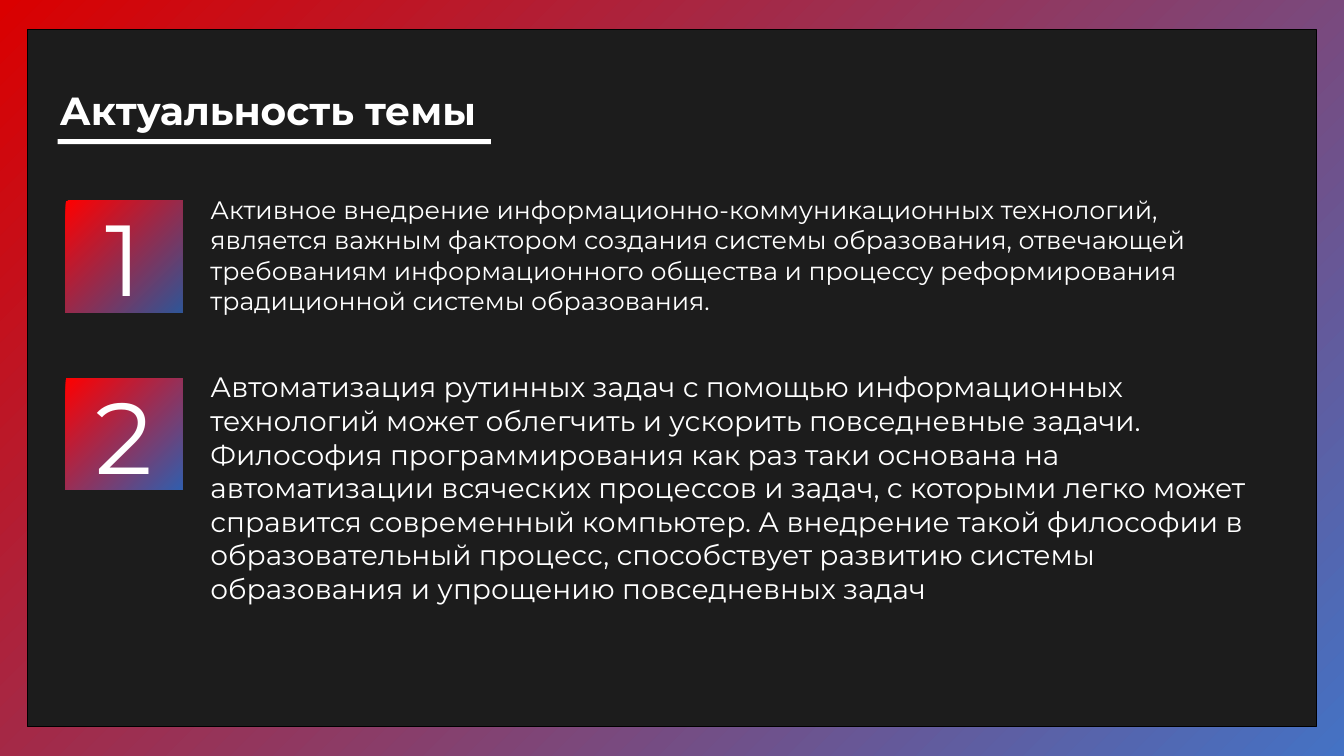
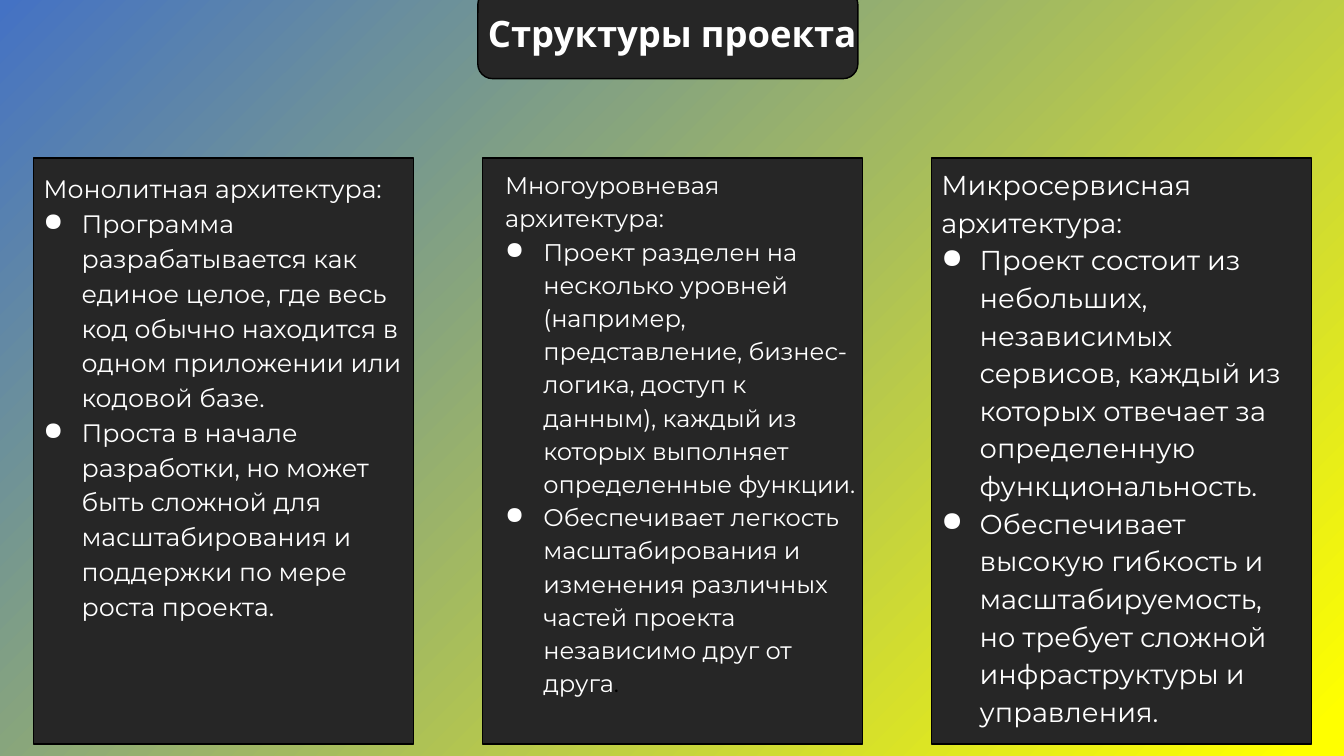
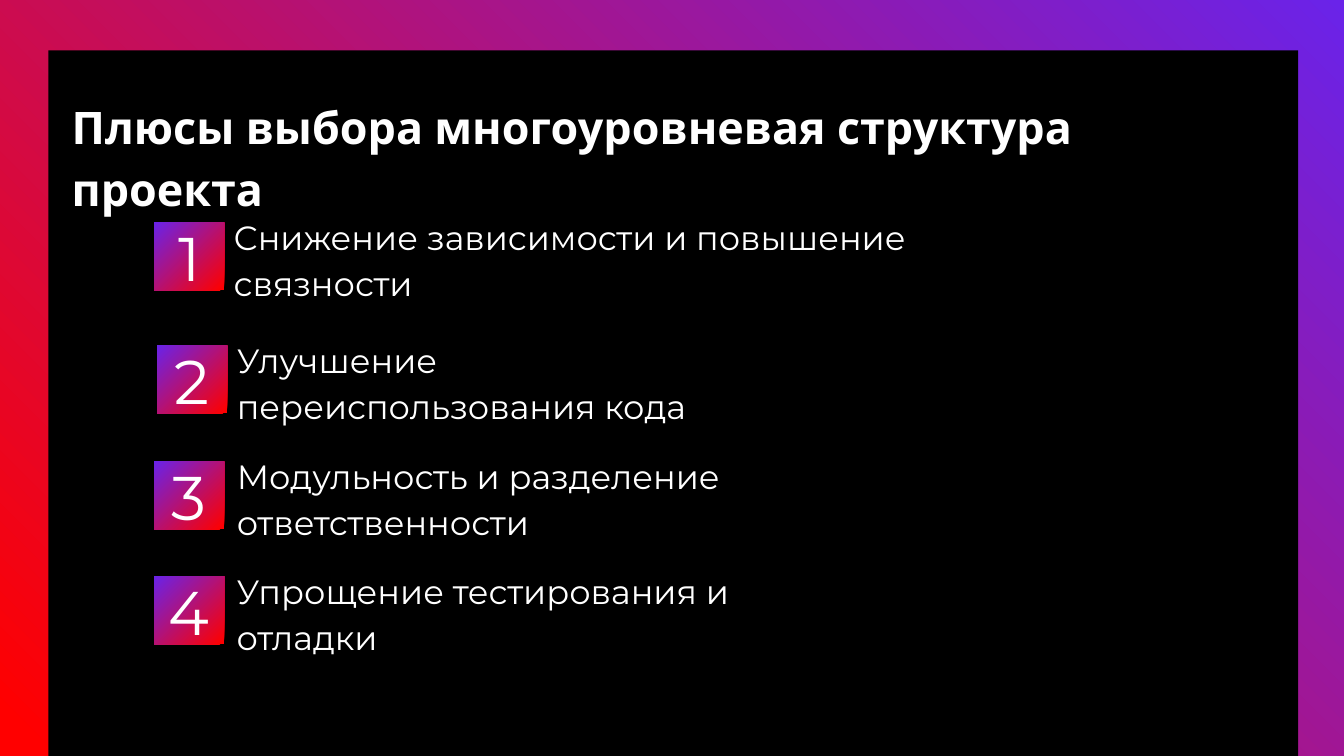
from dataclasses import dataclass
from lxml.etree import SubElement
from pptx import Presentation
from pptx.dml.color import RGBColor
from pptx.enum.shapes import MSO_SHAPE
from pptx.enum.text import MSO_ANCHOR, MSO_AUTO_SIZE, PP_ALIGN
from pptx.oxml.ns import qn
from pptx.util import Inches, Pt


@dataclass(frozen=True)
class Theme:
    white: str = "FFFFFF"
    black: str = "000000"
    coal: str = "1C1C1C"
    card: str = "262626"
    # Gradients: first colour, its position, last colour, clockwise angle
    red_blue: tuple = ("DA0000", 0, "4472C4", 45)
    yellow_blue: tuple = ("FFFF00", 0.02, "4472C4", 225)
    red_violet: tuple = ("FF0000", 0.02, "6A23E9", 315)
    badge_blues: tuple = ("2F5597", "315EAD")
    badge_violet: tuple = ("FF0000", 0.02, "6A23E9", 225)
    body: str = "Montserrat"
    head: str = "Karla"
    title_sizes: tuple = (28, 26, 32)
    reason_sizes: tuple = (18, 20)
    card_sizes: tuple = (18, 17.2, 19.5)
    list_size: int = 24
    badge_sizes: tuple = (72, 44)
    loose: float = 1.15


T = Theme()
prs = Presentation()
prs.slide_width, prs.slide_height = Inches(13.33), Inches(7.5)
# The grid has 100 columns and 100 rows
COL, ROW = prs.slide_width / 100, prs.slide_height / 100
RECT, ROUND = MSO_SHAPE.RECTANGLE, MSO_SHAPE.ROUNDED_RECTANGLE


def paint(fill, colour):
    """Fill with one colour, or with a gradient given as a tuple."""
    if isinstance(colour, str):
        fill.solid()
        fill.fore_color.rgb = RGBColor.from_string(colour)
        return
    first, start, last, angle = colour
    fill.gradient()
    fill.gradient_angle = 360 - angle
    for stop, rgb, pos in zip(fill.gradient_stops, (first, last), (start, 1)):
        stop.color.rgb = RGBColor.from_string(rgb)
        stop.position = pos


def add(s, kind, x, y, w, h, fill=None, line=None, text="", size=18,
        font=T.body, spacing=1.0, bullets=False):
    """Place a title, a text box or a preset shape on the grid."""
    box = [int(v) for v in (x * COL, y * ROW, w * COL, h * ROW)]
    if kind == "title":
        sp = s.shapes.title
        sp.left, sp.top, sp.width, sp.height = box
        s.shapes._spTree.append(sp._element)  # bring in front of the panel
    elif kind == "text":
        sp = s.shapes.add_textbox(*box)
    else:
        sp = s.shapes.add_shape(kind, *box)
        sp.shadow.inherit = False
        paint(sp.fill, fill)
        if line:
            sp.line.color.rgb = RGBColor.from_string(line)
            sp.line.width = Pt(1)
        else:
            sp.line.fill.background()
    if not text:
        return sp
    plain = kind in ("title", "text")
    tf = sp.text_frame
    tf.text = text
    tf.word_wrap, tf.auto_size = True, MSO_AUTO_SIZE.NONE
    tf.vertical_anchor = MSO_ANCHOR.TOP if plain else MSO_ANCHOR.MIDDLE
    for i, p in enumerate(tf.paragraphs):
        p.alignment = PP_ALIGN.LEFT if plain else PP_ALIGN.CENTER
        p.line_spacing = spacing
        if bullets and i:
            pPr = p._p.get_or_add_pPr()
            pPr.set("marL", str(Inches(0.38)))
            pPr.set("indent", str(-Inches(0.38)))
            SubElement(pPr, qn("a:buChar")).set("char", "●")
        for r in p.runs:
            r.font.name, r.font.size = font, Pt(size)
            r.font.bold = kind == "title"
            r.font.color.rgb = RGBColor.from_string(T.white)
    return sp


# Slides and their backgrounds
slides = []
for gradient in (T.red_blue, T.yellow_blue, T.red_violet):
    s = prs.slides.add_slide(prs.slide_layouts[5])
    paint(s.background.fill, gradient)
    slides.append(s)
relevance, structures, benefits = slides

# Relevance: panel and underlined title
s = relevance
add(s, RECT, 2.03, 3.87, 95.92, 92.27, T.coal, T.black)
add(s, "title", 3.68, 10.8, 33.9, 7.6, text="Актуальность темы",
    size=T.title_sizes[0])
add(s, RECT, 4.28, 18.4, 32.25, 0.67, T.white)

# Relevance: numbered reasons
reasons = [
    (26.53, 25.07, 21.6,
     "Активное внедрение информационно-коммуникационных технологий, является "
     "важным фактором создания системы образования, отвечающей требованиям "
     "информационного общества и процессу реформирования традиционной системы "
     "образования."),
    (50, 48.27, 37.2,
     "Автоматизация рутинных задач с помощью информационных технологий может "
     "облегчить и ускорить повседневные задачи. Философия программирования как "
     "раз таки основана на автоматизации всяческих процессов и задач, с "
     "которыми легко может справится современный компьютер. А внедрение такой "
     "философии в образовательный процесс, способствует развитию системы "
     "образования и упрощению повседневных задач"),
]
for i, (badge_y, text_y, text_h, text) in enumerate(reasons):
    add(s, "text", 14.92, text_y, 78.68, text_h, text=text,
        size=T.reason_sizes[i])
    add(s, RECT, 4.88, badge_y, 8.7, 14.8,
        ("FF0000", 0, T.badge_blues[i], 45), text=str(i + 1),
        size=T.badge_sizes[0])

# Structures: three cards, each with the shift of its text
s = structures
cards = [
    (0, 0.8, "Монолитная архитектура:",
     "Программа разрабатывается как единое целое, где весь код обычно "
     "находится в одном приложении или кодовой базе.",
     "Проста в начале разработки, но может быть сложной для масштабирования "
     "и поддержки по мере роста проекта."),
    (0.95, 0.4, "Многоуровневая архитектура:",
     "Проект разделен на несколько уровней (например, представление, "
     "бизнес-логика, доступ к данным), каждый из которых выполняет "
     "определенные функции.",
     "Обеспечивает легкость масштабирования и изменения различных частей "
     "проекта независимо друг от друга"),
    (0, 0, "Микросервисная архитектура:",
     "Проект состоит из небольших, независимых сервисов, каждый из которых "
     "отвечает за определенную функциональность.",
     "Обеспечивает высокую гибкость и масштабируемость, но требует сложной "
     "инфраструктуры и управления."),
]
card_texts = []
for i, (dx, dy, *lines) in enumerate(cards):
    x = 2.48 + i * 33.41
    add(s, RECT, x, 20.93, 28.28, 77.47, T.card, T.black)
    card_texts.append(add(
        s, "text", x + dx, 20.93 + dy, 28.28, 76.5, text="\n".join(lines),
        size=T.card_sizes[i], spacing=T.loose, bullets=True))

# The middle card ends with a black full stop
r = card_texts[1].text_frame.paragraphs[-1].add_run()
r.text = "."
r.font.name, r.font.size = T.body, Pt(T.card_sizes[1])
r.font.color.rgb = RGBColor.from_string(T.black)

# Structures: title tab
add(s, ROUND, 35.55, -1.33, 28.28, 11.73, T.card, T.black)
add(s, "title", 35.55, 0, 29.55, 7.47, text="Структуры проекта",
    size=T.title_sizes[1], font=T.head, spacing=T.loose)

# Benefits: panel and title
s = benefits
add(s, RECT, 3.6, 6.67, 93, 93.33, T.black)
add(s, "title", 4.58, 11.47, 90.98, 8.93,
    text="Плюсы выбора многоуровневая структура проекта",
    size=T.title_sizes[2], font=T.head, spacing=T.loose)

# Benefits: numbered list
points = [
    (11.48, 29.47, 16.65, 53.78, "Снижение зависимости и повышение связности"),
    (11.7, 45.73, 16.88, 42.83, "Улучшение переиспользования кода"),
    (11.48, 61.07, 16.88, 44.7, "Модульность и разделение ответственности"),
    (11.48, 76.27, 16.88, 42.08, "Упрощение тестирования и отладки"),
]
for i, (badge_x, y, text_x, text_w, text) in enumerate(points, 1):
    add(s, "text", text_x, y - 2.25, text_w, 13.33, text=text,
        size=T.list_size, spacing=T.loose)
    add(s, RECT, badge_x, y, 5.2, 8.93, T.badge_violet, text=str(i),
        size=T.badge_sizes[1])

prs.save("out.pptx")
